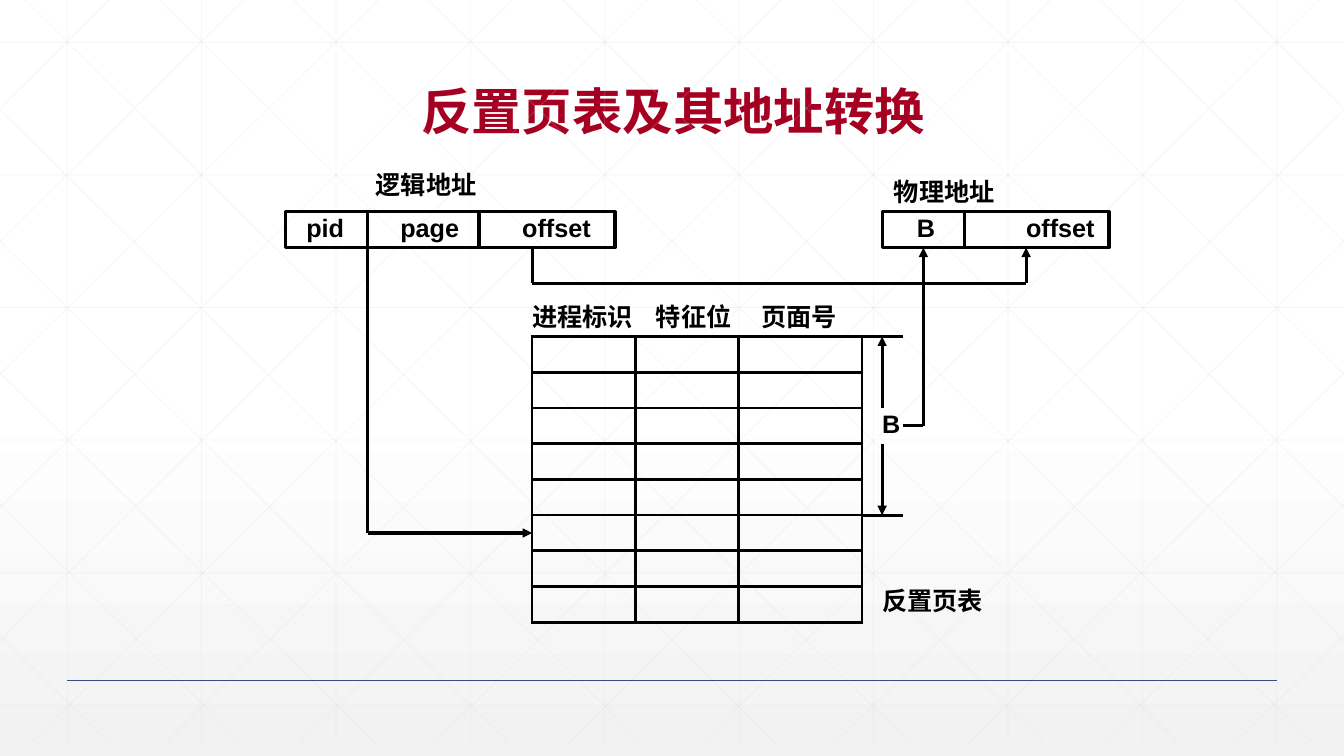
from itertools import pairwise, product
from lxml.etree import SubElement
from pptx import Presentation
from pptx.dml.color import RGBColor
from pptx.enum.shapes import MSO_CONNECTOR, MSO_SHAPE
from pptx.enum.text import MSO_ANCHOR, MSO_AUTO_SIZE, PP_ALIGN
from pptx.oxml.ns import qn
from pptx.util import Cm, Pt

WIDE, HIGH = 33.87, 19.05
COLORS = {"ink": "000000", "title": "A50021", "grid": "D9D9D9",
          "rule": "384C81", "paper": "FFFFFF", "shade": "F2F2F2"}
PLAIN = {"margin_left": 0, "margin_right": 0, "margin_top": 0,
         "margin_bottom": 0, "word_wrap": True,
         "vertical_anchor": MSO_ANCHOR.TOP}
HEAD = {"word_wrap": True, "auto_size": MSO_AUTO_SIZE.NONE,
        "vertical_anchor": MSO_ANCHOR.TOP}


def color(name):
    return RGBColor.from_string(COLORS[name])


def apply(target, values):
    for name, value in values.items():
        setattr(target, name, value)


class Board:
    """Draws on one slide; all lengths are in centimetres."""

    font = {"name": "Arial", "size": Pt(18), "bold": True}
    weight = 2.25

    def __init__(self, deck):
        self.slide = deck.slides.add_slide(deck.slide_layouts[5])
        self.shapes = self.slide.shapes

    def shade(self):
        fill = self.slide.background.fill
        fill.gradient()
        fill.gradient_angle = 270
        for stop, name, place in zip(fill.gradient_stops,
                                     ("paper", "shade"), (0.53, 1)):
            stop.color.rgb = color(name)
            stop.position = place

    def line(self, start, end, ink="ink", weight=weight, tip=False, alpha=None):
        link = self.shapes.add_connector(
            MSO_CONNECTOR.STRAIGHT, *map(Cm, (*start, *end)))
        link.line.width = Pt(weight)
        link.line.color.rgb = color(ink)
        props = link._element.spPr
        stroke = props.find(qn("a:ln"))
        if alpha:
            tone = stroke.find(".//" + qn("a:srgbClr"))
            SubElement(tone, qn("a:alpha"), val=str(alpha * 1000))
        if tip:
            SubElement(stroke, qn("a:tailEnd"), type="triangle")
        SubElement(props, qn("a:effectLst"))
        return link

    def route(self, *points):
        """Join the points with lines, the last one an arrow."""
        pairs = list(pairwise(points))
        return [self.line(*pair, tip=pair == pairs[-1]) for pair in pairs]

    def put(self, frame, text, tabs=(), ink="ink", align=PP_ALIGN.JUSTIFY, **font):
        """Set the text of a frame, with tab stops if given."""
        para = frame.paragraphs[0]
        para.alignment = align
        if tabs:
            stops = SubElement(para._p.get_or_add_pPr(), qn("a:tabLst"))
            for tab in tabs:
                SubElement(stops, qn("a:tab"), pos=str(Cm(tab)), algn="l")
        run = para.add_run()
        run.text = text
        apply(run.font, {**self.font, **font})
        run.font.color.rgb = color(ink)

    def label(self, text, x, y, width=2.6, tabs=()):
        box = self.shapes.add_textbox(*map(Cm, (x, y, width, 0.9)))
        apply(box.text_frame, PLAIN)
        self.put(box.text_frame, text, tabs)
        return box

    def bar(self, text, x, y, width, tabs, cuts):
        """Draw an address split into fields at the cuts."""
        box = self.shapes.add_shape(MSO_SHAPE.RECTANGLE,
                                    *map(Cm, (x, y, width, 0.9)))
        box.shadow.inherit = False
        box.fill.background()
        box.line.width = Pt(self.weight)
        box.line.color.rgb = color("ink")
        apply(box.text_frame, PLAIN)
        self.put(box.text_frame, text, tabs)
        for cut in cuts:
            self.line((cut, y), (cut, y + 0.9))

    def table(self, x, y, widths, rows, step):
        table = self.shapes.add_table(
            rows, len(widths), *map(Cm, (x, y, sum(widths), rows * step))).table
        apply(table, {"first_row": False, "horz_banding": False})
        for column, width in zip(table.columns, widths):
            column.width = Cm(width)
        for row in table.rows:
            row.height = Cm(step)
        for cell in table.iter_cells():
            apply(cell, {k: v for k, v in PLAIN.items() if k != "word_wrap"})
            props = cell._tc.get_or_add_tcPr()
            for side in "LRTB":
                edge = SubElement(props, qn(f"a:ln{side}"), w=str(Pt(self.weight)))
                fill = SubElement(edge, qn("a:solidFill"))
                SubElement(fill, qn("a:srgbClr"), val=COLORS["ink"])
            cell.fill.background()

    def title(self, text):
        head = self.shapes.title
        apply(head, dict(zip(("left", "top", "width", "height"),
                             map(Cm, (10.36, 1.9, 14.8, 1.93)))))
        head.line.width = Pt(0.75)
        head.line.color.rgb = color("paper")
        apply(head.text_frame, HEAD)
        self.put(head.text_frame, text, ink="title",
                 align=PP_ALIGN.LEFT, size=Pt(36))

    def lattice(self):
        """Draw the pale grid with its mirrored diagonals."""
        step, foot, slope = WIDE / 10, 18.72, 0.99
        lines = [((step * (i + 0.5), 0), (step * (i + 0.5), foot))
                 for i in range(10)]
        lines += [((0, 1.07 + 3.34 * i), (WIDE, 1.07 + 3.34 * i))
                  for i in range(6)]
        slants = []
        for i in range(10):
            x = 0.63 + step * i
            drop = min(foot, (WIDE - x) * slope)
            slants.append(((x, 0), (x + drop / slope, drop)))
        slants += [((0, 2.77 + 3.31 * i), (16.18 - 3.36 * i, foot))
                   for i in range(5)]
        for flip, pair in product((False, True), slants):
            lines.append(tuple((WIDE - x if flip else x, y) for x, y in pair))
        for start, end in lines:
            self.line(start, end, "grid", 0.5, alpha=25)


def main():
    deck = Presentation()
    apply(deck, {"slide_width": Cm(WIDE), "slide_height": Cm(HIGH)})
    board = Board(deck)
    board.shade()
    board.lattice()
    board.line((1.7, 17.15), (32.17, 17.15), "rule", 1)
    board.title("反置页表及其地址转换")

    left, top, step, widths = 13.41, 8.48, 0.9, (2.6, 2.6, 3.11)
    right, mark = left + sum(widths), top + 5 * step
    board.table(left, top, widths, 8, step)
    board.label("进程标识\t特征位\t页面号", left, 7.59, 8.31, (3.12, 5.77))
    board.label("反置页表", 22.23, 14.76)

    bar, base = 5.34, 6.24
    board.label("逻辑地址", 9.47, 4.27)
    board.bar("\tpid\tpage\toffset", 7.19, bar, 8.31,
              (0.53, 2.9, 5.97), (9.27, 12.07))
    board.label("物理地址", 22.53, 4.45)
    board.bar("\tB\toffset", 22.23, bar, 5.72, (0.88, 3.63), (24.31,))

    entry = top + 5.5 * step
    board.route((9.27, base), (9.27, entry), (left, entry))
    board.route((left, base), (left, 7.14), (25.86, 7.14), (25.86, base))

    span, tick = 22.23, 22.75
    for y in (top, mark):
        board.line((right, y), (tick, y))
    upper = top + 2 * step
    board.route((span, upper), (span, top))
    board.route((span, upper + step), (span, mark))
    index = board.label("B", span, upper, tick - span)
    middle = upper + step / 2
    lead = board.route((tick, middle), (23.27, middle), (23.27, base))
    lead[0].begin_connect(index, 3)
    deck.save("out.pptx")


if __name__ == "__main__":
    main()
